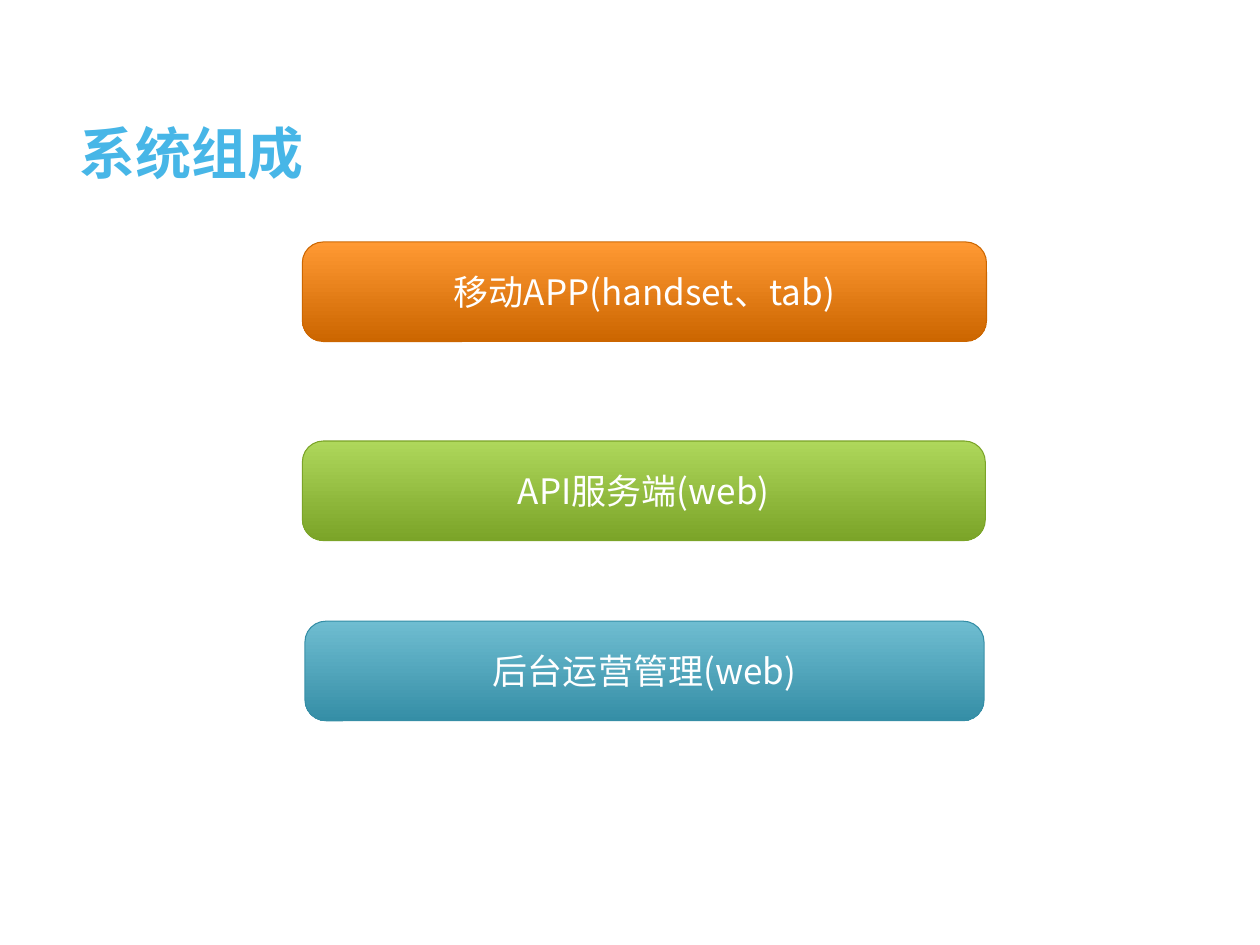
from dataclasses import dataclass

from lxml.etree import SubElement
from pptx import Presentation
from pptx.dml.color import RGBColor
from pptx.enum.shapes import MSO_SHAPE
from pptx.enum.text import MSO_ANCHOR, PP_ALIGN
from pptx.oxml.ns import qn
from pptx.util import Inches, Pt


@dataclass(frozen=True)
class Theme:
    title_color: str = "47B6E7"
    label_color: str = "FFFFFF"
    title_size: int = 32
    label_size: int = 20
    line_width: float = 0.6
    latin_title: str = "TeX Gyre Adventor"
    body: str = "Noto Sans CJK SC"


THEME = Theme()
SLIDE_WIDTH, SLIDE_HEIGHT = 10, 7.5

TITLE = "系统组成"
TITLE_BOX = (0.53, 0.89, 8.98, 0.64)

# label, (left, top, width), (gradient top, gradient bottom and outline)
LAYERS = [
    ("移动APP(handset、tab)", (2.4, 1.92, 5.43), ("FF9933", "CC6600")),
    ("API服务端(web)", (2.4, 3.5, 5.42), ("AED75B", "7BA428")),
    ("后台运营管理(web)", (2.42, 4.93, 5.39), ("6FBDD1", "358EA6")),
]
LAYER_HEIGHT = 0.79
CORNER_SHARE = 0.21
LAYER_INSETS = (0.04, 0.02)


def write(shape, text, size, color, latin, bold=False):
    """Fill the shape with one styled paragraph and return it."""
    shape.text_frame.word_wrap = True
    paragraph = shape.text_frame.paragraphs[0]
    paragraph.text = text
    font = paragraph.runs[0].font
    font.size, font.bold, font.name = Pt(size), bold, latin
    font.color.rgb = RGBColor.from_string(color)
    properties = paragraph.runs[0]._r.get_or_add_rPr()
    SubElement(properties, qn("a:ea")).set("typeface", THEME.body)
    return paragraph


def add_title(slide):
    shape = slide.shapes.add_textbox(*map(Inches, TITLE_BOX))
    paragraph = write(shape, TITLE, THEME.title_size, THEME.title_color,
                      THEME.latin_title, bold=True)
    paragraph.line_spacing = 0.9
    shape.text_frame.vertical_anchor = MSO_ANCHOR.BOTTOM


def add_layer(slide, label, place, colors):
    shape = slide.shapes.add_shape(
        MSO_SHAPE.ROUNDED_RECTANGLE, *map(Inches, (*place, LAYER_HEIGHT)))
    shape.adjustments[0] = CORNER_SHARE
    shape.shadow.inherit = False
    shape.fill.gradient()
    shape.fill.gradient_angle = 270
    for stop, color, position in zip(shape.fill.gradient_stops, colors, (0, 1)):
        stop.color.rgb = RGBColor.from_string(color)
        stop.position = position
    shape.line.color.rgb = RGBColor.from_string(colors[1])
    shape.line.width = Pt(THEME.line_width)

    paragraph = write(shape, label, THEME.label_size, THEME.label_color, THEME.body)
    paragraph.alignment = PP_ALIGN.CENTER
    frame = shape.text_frame
    frame.vertical_anchor = MSO_ANCHOR.MIDDLE
    side, end = map(Inches, LAYER_INSETS)
    frame.margin_left = frame.margin_right = side
    frame.margin_top = frame.margin_bottom = end


def main():
    presentation = Presentation()
    presentation.slide_width = Inches(SLIDE_WIDTH)
    presentation.slide_height = Inches(SLIDE_HEIGHT)
    slide = presentation.slides.add_slide(presentation.slide_layouts[6])
    add_title(slide)
    for layer in LAYERS:
        add_layer(slide, *layer)
    presentation.save("out.pptx")


if __name__ == "__main__":
    main()
